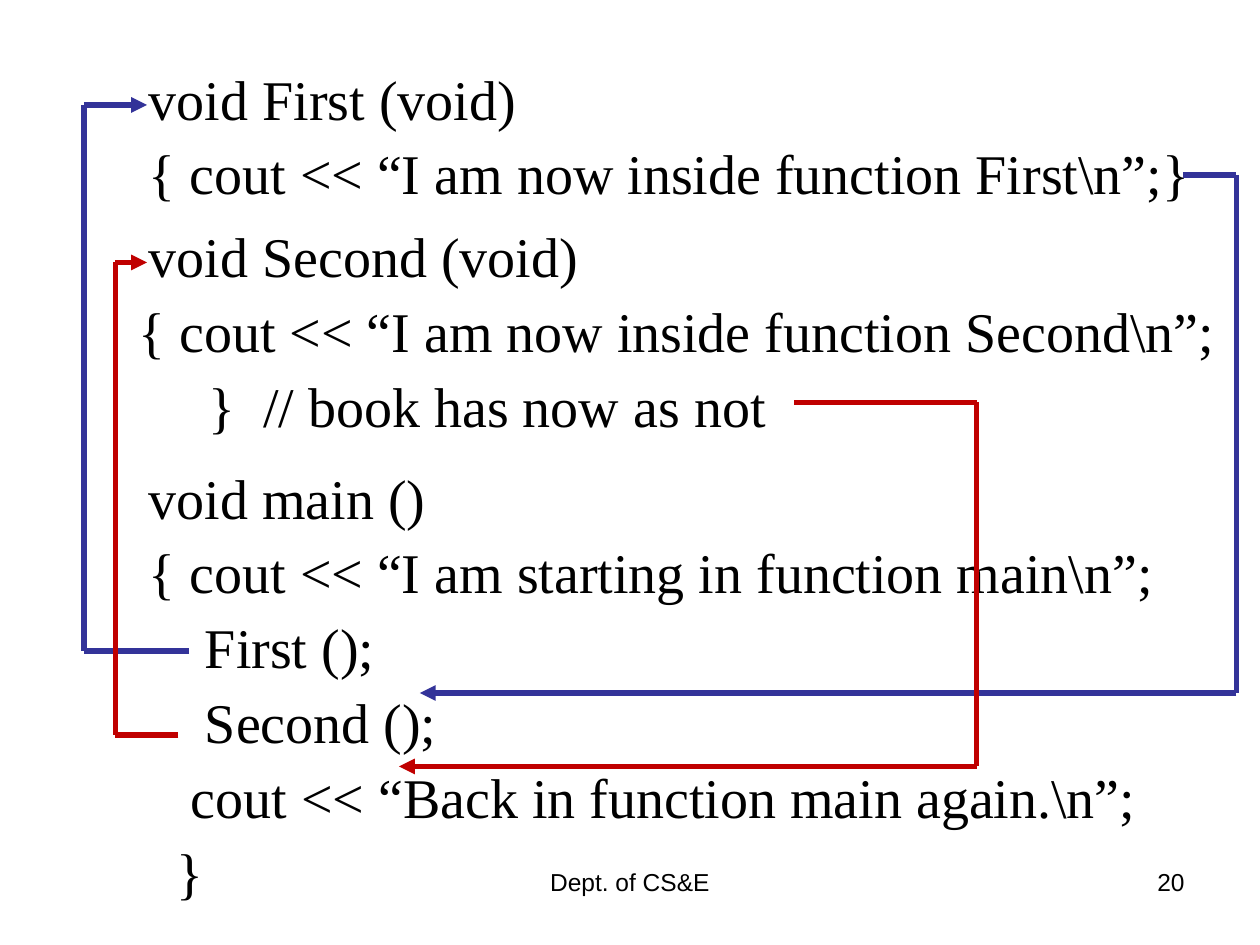
from lxml import etree
from pptx import Presentation
from pptx.dml.color import RGBColor
from pptx.enum.shapes import MSO_CONNECTOR
from pptx.enum.text import MSO_AUTO_SIZE, PP_ALIGN
from pptx.oxml.ns import qn
from pptx.util import Pt

STRAIGHT = MSO_CONNECTOR.STRAIGHT
FIT_SHAPE, FIXED = MSO_AUTO_SIZE.SHAPE_TO_FIT_TEXT, MSO_AUTO_SIZE.NONE
LEFT, CENTER, RIGHT = PP_ALIGN.LEFT, PP_ALIGN.CENTER, PP_ALIGN.RIGHT

THEME = {
    "text": RGBColor(0x00, 0x00, 0x00),
    "first": RGBColor(0x33, 0x33, 0x99),
    "second": RGBColor(0xC0, 0x00, 0x00),
    "code": ("Times New Roman", 32),
    "footer": ("Arial", 14),
    "line_width": 3,
}

# Code blocks: box (left, top, width, height), then (indent, text) lines
CODE_BLOCKS = [
    ((78, 42, 642, 79), [
        (0, "void First (void)"),
        (0, "{ cout << “I am now inside function First\\n”;}"),
    ]),
    ((72, 132, 702, 122), [
        (6, "void Second (void)"),
        (0, "{ cout << “I am now inside function Second\\n”;"),
        (40, "}  // book has now as not"),
    ]),
    ((78, 270, 642, 250.5), [
        (0, "void main ()"),
        (0, "{ cout << “I am starting in function main\\n”;"),
        (32, "First ();"),
        (32, "Second ();"),
        (24, "cout << “Back in function main again.\\n”;"),
        (16, "}"),
    ]),
]

FOOTERS = [
    ((246, 492, 228, 37.5), "Dept. of CS&E", CENTER),
    ((516, 492, 168, 37.5), "20", RIGHT),
]

# Call and return routes: colour, start, x of the vertical part, end
ROUTES = [
    ("first", (108, 372), 48, (84, 60)),
    ("first", (676, 100), 706.5, (240, 396)),
    ("second", (102, 420), 66, (84, 150)),
    ("second", (454, 230), 558, (228, 438)),
]


def add_text(slide, box, lines, style, align=LEFT, auto_size=FIXED):
    frame = slide.shapes.add_textbox(*map(Pt, box)).text_frame
    frame.word_wrap = True
    frame.auto_size = auto_size
    frame.text = "\n".join(lines)
    family, size = THEME[style]
    for paragraph in frame.paragraphs:
        paragraph.alignment = align
        for run in paragraph.runs:
            run.font.name = family
            run.font.size = Pt(size)
            run.font.color.rgb = THEME["text"]
    return frame


def add_code(slide, box, lines):
    frame = add_text(slide, box, [text for _, text in lines], "code",
                     auto_size=FIT_SHAPE)
    for paragraph, (indent, _) in zip(frame.paragraphs, lines):
        paragraph.line_spacing = 0.75
        paragraph.space_before = Pt(14)
        properties = paragraph._p.get_or_add_pPr()
        properties.set("marL", str(Pt(indent)))
        properties.set("indent", "0")


def add_segment(shapes, start, end, colour, arrow):
    segment = shapes.add_connector(STRAIGHT, *map(Pt, start + end))
    segment.line.color.rgb = THEME[colour]
    segment.line.width = Pt(THEME["line_width"])
    if arrow:
        etree.SubElement(segment.line._get_or_add_ln(), qn("a:tailEnd"),
                         type="triangle")
    etree.SubElement(segment._element.spPr, qn("a:effectLst"))


def add_route(slide, colour, start, bend_x, end):
    shapes = slide.shapes.add_group_shape().shapes
    points = [start, (bend_x, start[1]), (bend_x, end[1]), end]
    for a, b in zip(points, points[1:]):
        add_segment(shapes, a, b, colour, arrow=b is end)


def main():
    deck = Presentation()
    deck.slide_width, deck.slide_height = Pt(720), Pt(540)
    slide = deck.slides.add_slide(deck.slide_layouts[6])

    for box, lines in CODE_BLOCKS:
        add_code(slide, box, lines)
    for route in ROUTES:
        add_route(slide, *route)
    for box, text, align in FOOTERS:
        add_text(slide, box, [text], "footer", align)

    deck.save("out.pptx")


if __name__ == "__main__":
    main()
